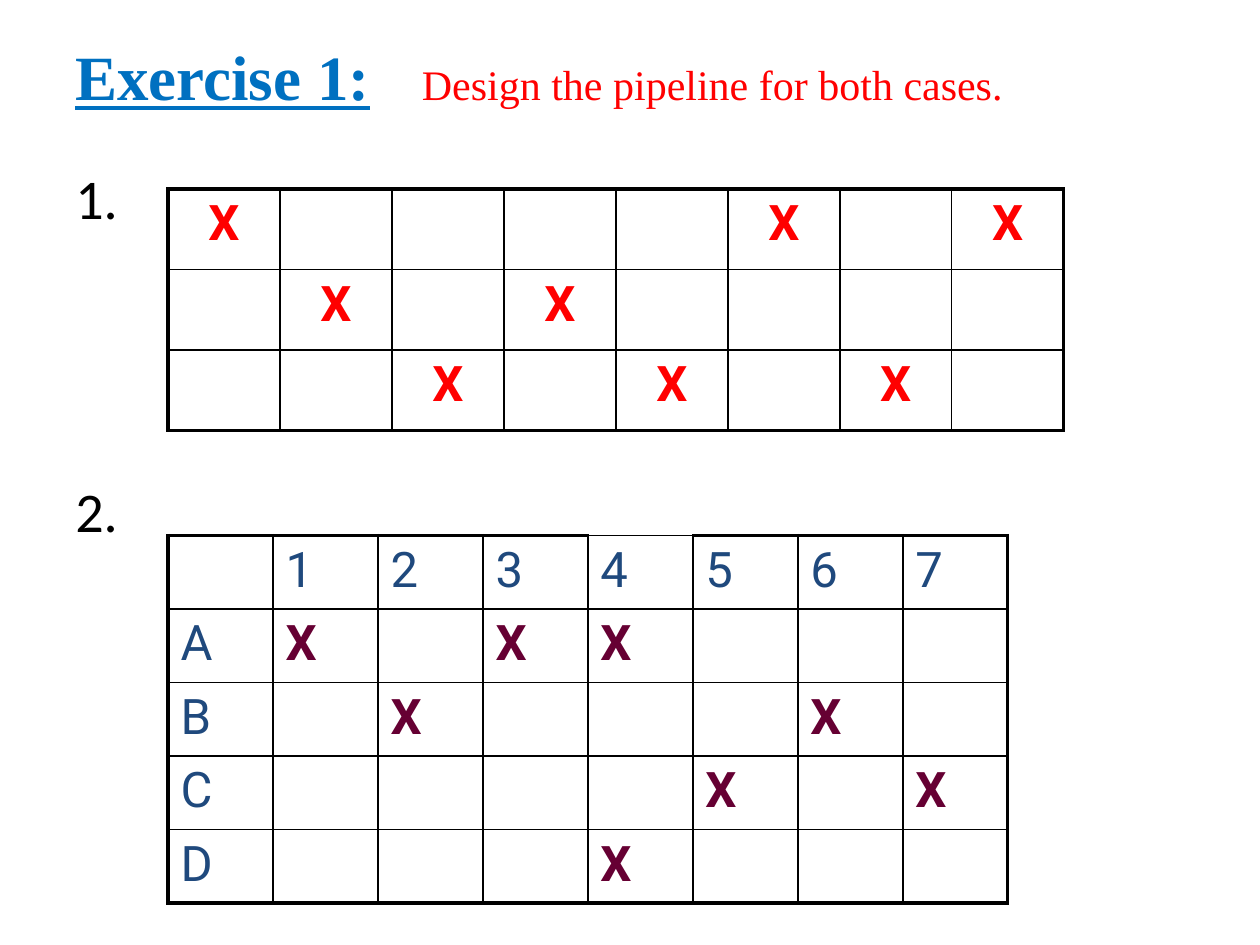
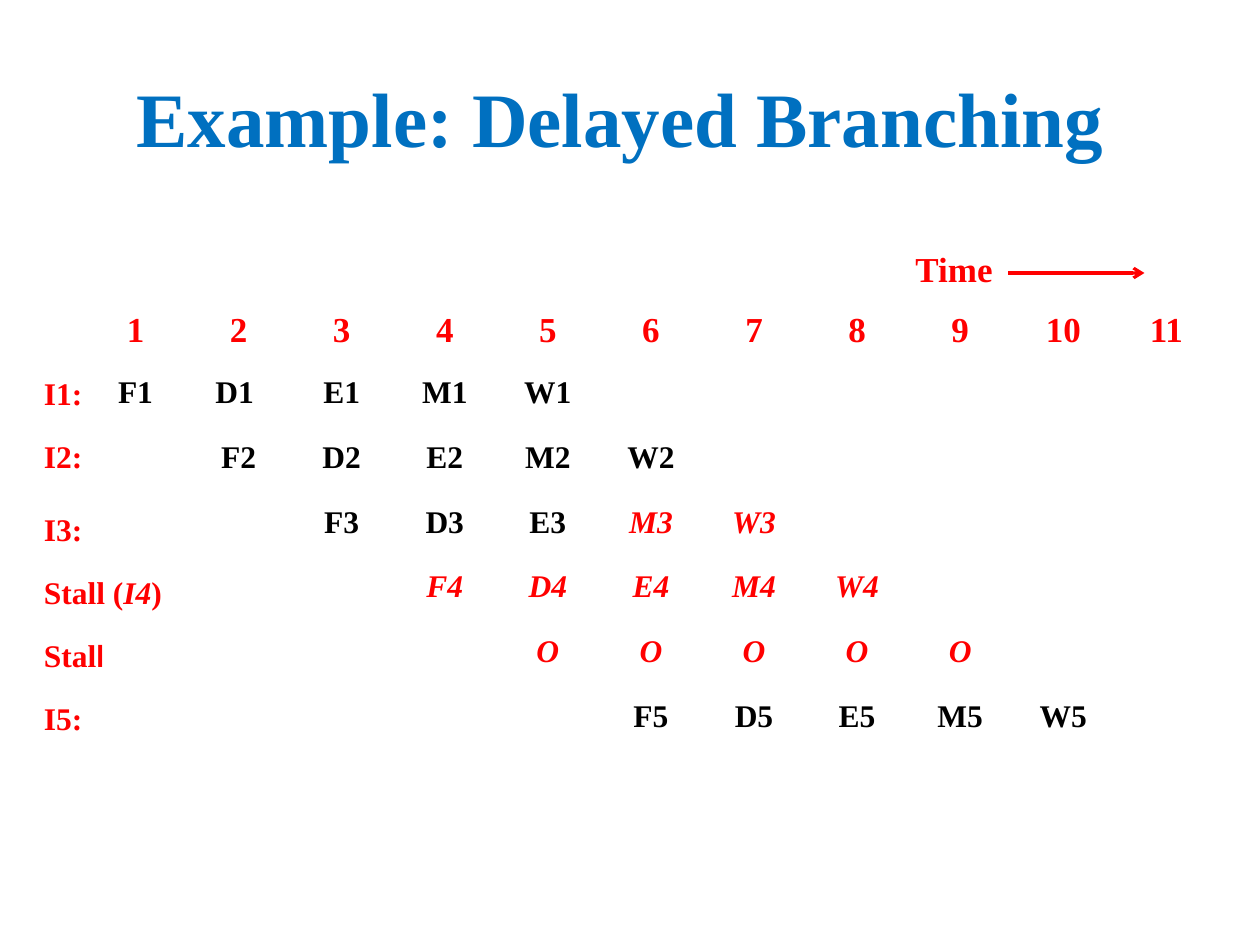
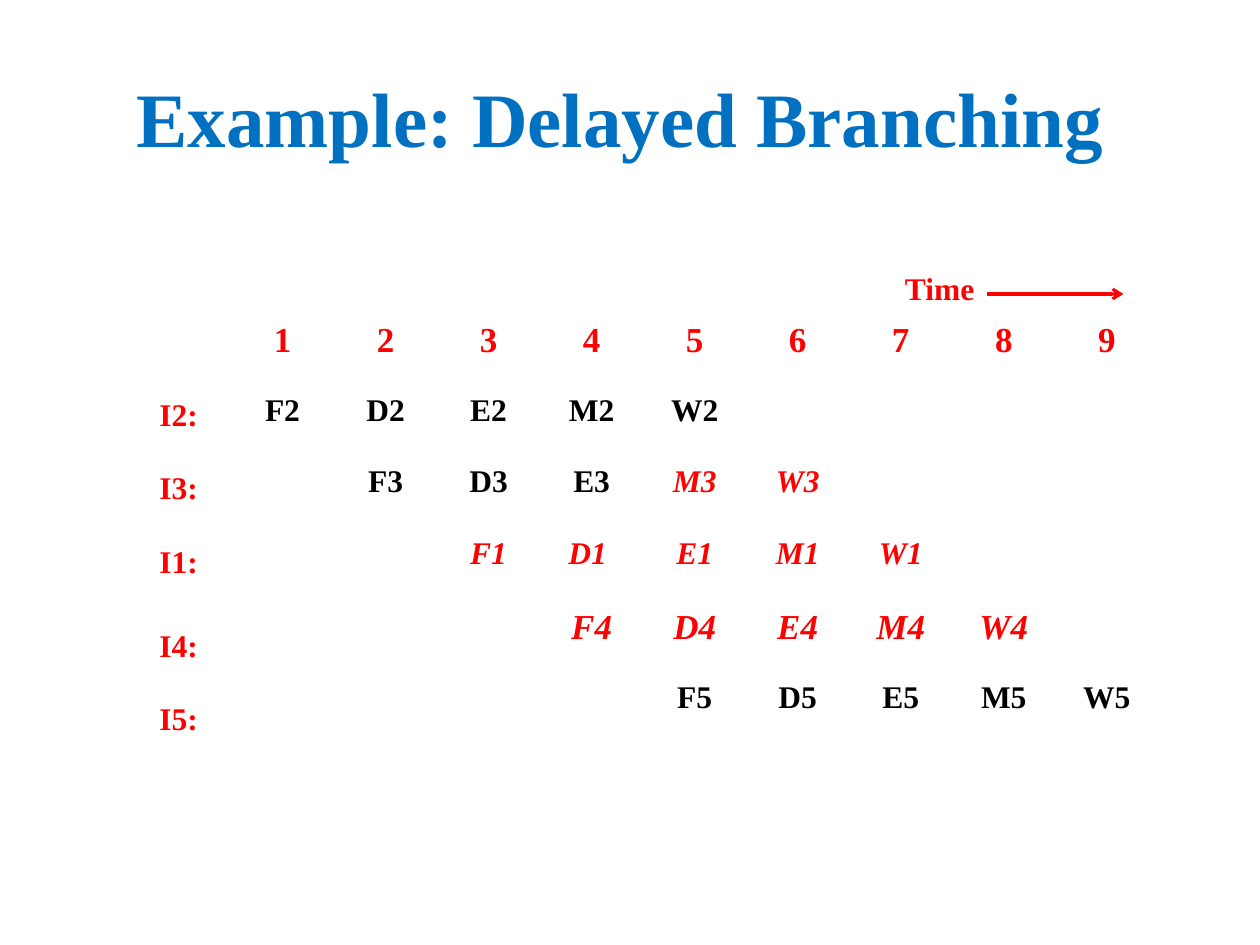
from lxml.etree import SubElement as Sub
from pptx import Presentation
from pptx.dml.color import RGBColor as Rgb
from pptx.enum.shapes import MSO_CONNECTOR as Conn
from pptx.enum.text import MSO_ANCHOR as Anchor, PP_ALIGN as Align
from pptx.oxml import parse_xml
from pptx.oxml.ns import nsdecls, qn
from pptx.util import Pt

HUES = {"title": "0070C0", "red": "FF0000", "black": "000000",
        "navy": "1F497D", "plum": "660033"}
SERIF, SANS, MARK = "Times New Roman", "Calibri", "Roboto"
THICK, THIN = 2.25, 1

CASES = [
    {"box": (96, 108, 512, 138), "hue": "red", "align": Align.CENTER, "gap": None,
     "rows": ["X....X.X", ".X.X....", "..X.X.X."]},
    {"box": (96, 306, 480, 210), "hue": "plum", "align": Align.LEFT, "gap": (0, 4),
     "rows": [".1234567", "AX.XX...", "B.X...X.", "C....X.X", "D...X..."]},
]

CHARTS = [
    {"box": (48, 174, 648, 296), "cols": 11, "lines": 8,
     "time": (516, 138, 156, 20), "arrow": (576, 156, 654, 156),
     "rows": [(0, ["F1", "D1 ", "E1", "M1", "W1"], 5, 18),
              (1, ["F2", "D2", "E2", "M2", "W2"], 5, 18),
              (2, ["F3", "D3", "E3", "M3", "W3"], 3, 18),
              (3, ["F4", "D4", "E4", "M4", "W4"], 0, 18),
              (4, ["O"] * 5, 0, 18),
              (5, ["F5", "D5", "E5", "M5", "W5"], 5, 18)],
     "left": 18,
     "tags": [(210, 42, ["I1:"]), (246, 42, ["I2:"]), (288, 42, ["I3:"]),
              (324, 102, ["Stall (", "I4", ")"]), (360, 54, ["Stal", "l"]),
              (396, 42, ["I5:"])]},
    {"box": (132, 180, 530, 246), "cols": 9, "lines": 6,
     "time": (510, 150, 58, 18), "arrow": (564, 168, 642, 168),
     "rows": [(0, ["F2", "D2", "E2", "M2", "W2"], 5, 18),
              (1, ["F3", "D3", "E3", "M3", "W3"], 3, 18),
              (2, ["F1", "D1 ", "E1", "M1", "W1"], 0, 18),
              (3, ["F4", "D4", "E4", "M4", "W4"], 0, 20),
              (4, ["F5", "D5", "E5", "M5", "W5"], 5, 18)],
     "left": 84,
     "tags": [(222, 42, ["I2:"]), (264, 42, ["I3:"]), (306, 42, ["I1:"]),
              (354, 42, ["I4:"]), (396, 42, ["I5:"])]},
]


def style(run, size, hue, face=SERIF, bold=True, slant=False):
    font = run.font
    font.size, font.name, font.bold, font.italic = Pt(size), face, bold, slant
    font.color.rgb = Rgb.from_string(HUES[hue])


def write(slide, box, runs, size, hue, face=SERIF, bold=True):
    frame = slide.shapes.add_textbox(*map(Pt, box)).text_frame
    frame.word_wrap = True
    para = frame.paragraphs[0]
    for text in runs:
        run = para.add_run()
        run.text = text
        style(run, size, hue, face, bold)
    return frame


def head(slide, box, text, size):
    frame = write(slide, box, [text], size, "title")
    frame.vertical_anchor = Anchor.MIDDLE
    return frame.paragraphs[0]


def grid(slide, box, lines, cols):
    table = slide.shapes.add_table(lines, cols, *map(Pt, box)).table
    table.horz_banding = False
    for col in table.columns:
        col.width = Pt(box[2] / cols)
    for row in table.rows:
        row.height = Pt(box[3] / lines)
    for cell in table.iter_cells():
        cell.fill.background()
    return table


def fill(cell, text, align, *look):
    cell.text_frame.text = text
    para = cell.text_frame.paragraphs[0]
    para.alignment = align
    style(para.runs[0], *look)


def edge(cell, sides):
    props = cell._tc.get_or_add_tcPr()
    for spot, (side, width) in enumerate(sides.items()):
        props.insert(spot, parse_xml(
            f'<a:ln{side} {nsdecls("a")} w="{int(Pt(width))}"><a:solidFill>'
            f'<a:srgbClr val="{HUES["black"]}"/></a:solidFill></a:ln{side}>'))


def draw_case(slide, case):
    rows = case["rows"]
    high, wide = len(rows), len(rows[0])
    table = grid(slide, case["box"], high, wide)
    for y, row in enumerate(rows):
        for x, sign in enumerate(row):
            cell = table.cell(y, x)
            rim = {"L": x == 0, "R": x == wide - 1,
                   "T": y == 0 and (y, x) != case["gap"], "B": y == high - 1}
            edge(cell, {side: THICK if outer else THIN for side, outer in rim.items()})
            if sign != ".":
                mark = sign == "X"
                fill(cell, sign, case["align"], 28, case["hue"] if mark else "navy", MARK, mark)


def draw_arrow(slide, ends):
    link = slide.shapes.add_connector(Conn.STRAIGHT, *map(Pt, ends))
    link.line.color.rgb = Rgb.from_string(HUES["red"])
    link.line.width = Pt(1.75)
    Sub(link.line._get_or_add_ln(), qn("a:tailEnd"), type="arrow")
    Sub(link._element.spPr, qn("a:effectLst"))


def draw_chart(slide, chart):
    title = head(slide, (36, 21.6, 648, 90), "Example: Delayed Branching ", 44)
    title.alignment = Align.CENTER
    table = grid(slide, chart["box"], chart["lines"], chart["cols"])
    for x in range(chart["cols"]):
        fill(table.cell(0, x), str(x + 1), Align.CENTER, 20, "red")
    for y, (start, words, hot, size) in enumerate(chart["rows"], 1):
        for x, word in enumerate(words):
            late = x >= hot
            fill(table.cell(y, start + x), word, Align.CENTER, size,
                 "red" if late else "black", SERIF, True, late)
    *place, size = chart["time"]
    write(slide, (*place, 30), ["Time"], size, "red")
    draw_arrow(slide, chart["arrow"])
    for top, width, runs in chart["tags"]:
        frame = write(slide, (chart["left"], top, width, 29), runs, 18, "red")
        for run in frame.paragraphs[0].runs:
            if run.text == "I4":
                run.font.italic = True
            if run.text == "l":
                run.font.name = SANS


def draw_task(slide):
    title = head(slide, (36, 18, 648, 50.4), "Exercise 1:", 36)
    title.runs[0].font.underline = True
    frame = write(slide, (36, 90, 648, 414), ["1."], 32, "black", SANS, False)
    para = frame.add_paragraph()
    para.text = "2."
    para.space_before = Pt(140.4)
    style(para.runs[0], 32, "black", SANS, False)
    for case in CASES:
        draw_case(slide, case)
    write(slide, (234, 30, 486, 36), ["Design the pipeline for both cases."],
          24, "red", SERIF, False)


def main():
    deck = Presentation()
    deck.slide_width, deck.slide_height = Pt(720), Pt(540)
    blank = deck.slide_layouts[6]
    draw_task(deck.slides.add_slide(blank))
    for chart in CHARTS:
        draw_chart(deck.slides.add_slide(blank), chart)
    deck.save("out.pptx")


if __name__ == "__main__":
    main()
